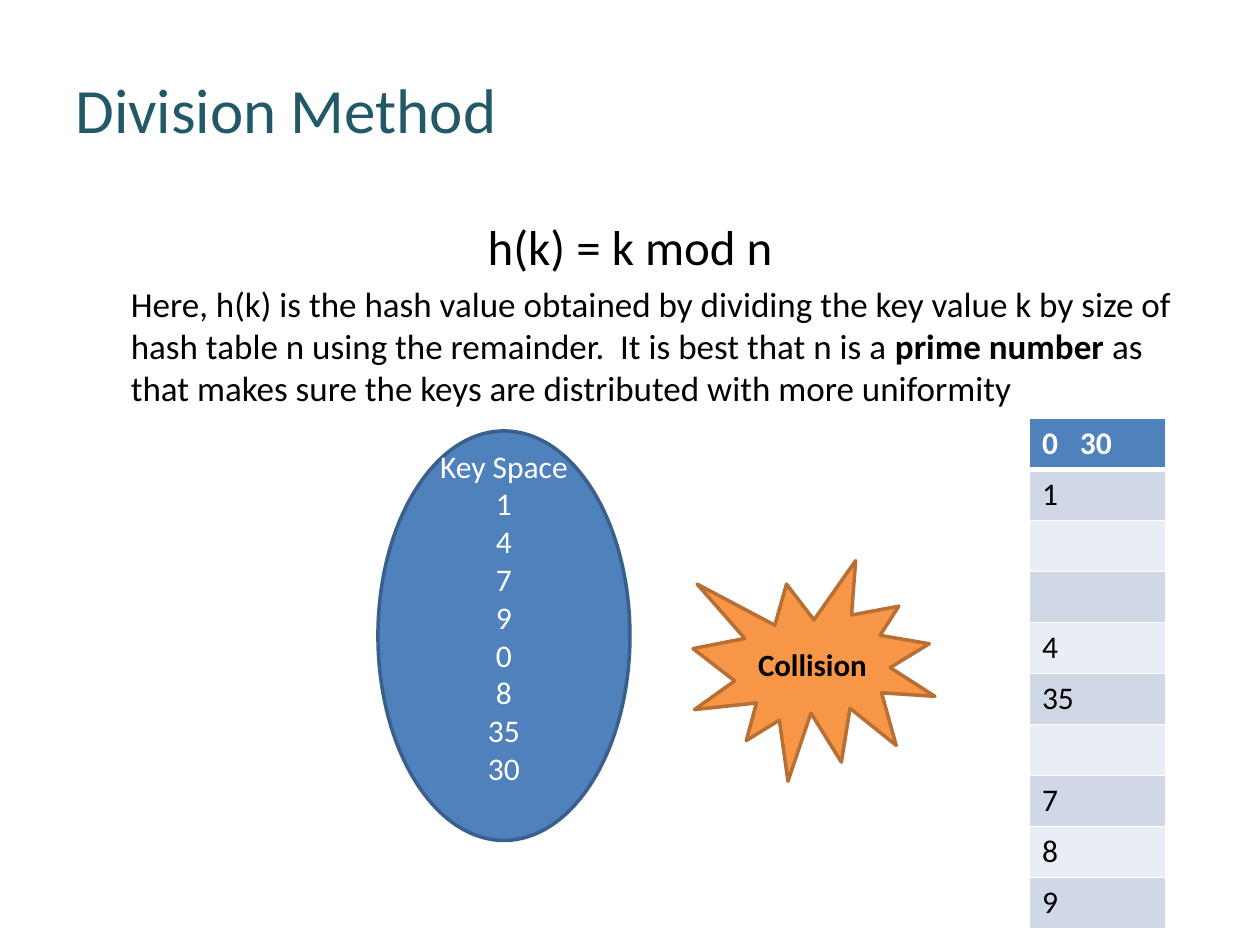
from dataclasses import dataclass

from lxml import etree
from pptx import Presentation
from pptx.dml.color import RGBColor
from pptx.enum import shapes, text
from pptx.oxml import ns
from pptx.util import Inches, Pt


@dataclass(frozen=True)
class Theme:
    font: str = "Calibri"
    title_size: float = 36
    formula_size: float = 28
    body_size: float = 20
    label_size: float = 18
    collision_size: float = 17.7
    teal: str = "215968"
    black: str = "000000"
    white: str = "FFFFFF"
    blue: str = "4F81BD"
    blue_line: str = "3A5F8C"
    orange: str = "F79646"
    orange_line: str = "B76F34"
    bands: tuple = ("E9EDF4", "D0D8E8")


theme = Theme()


def style(paragraph, size, color, bold=False, align=text.PP_ALIGN.LEFT):
    paragraph.alignment = align
    for font in [paragraph.font] + [run.font for run in paragraph.runs]:
        font.name, font.size, font.bold = theme.font, Pt(size), bold
        font.color.rgb = RGBColor.from_string(color)


def set_borders(cell, top, bottom):
    """Draw white cell borders; top and bottom are widths in points."""
    properties = cell._tc.get_or_add_tcPr()
    sides = (("lnL", 1), ("lnR", 1), ("lnT", top), ("lnB", bottom))
    for index, (side, width) in enumerate(sides):
        line = etree.Element(ns.qn(f"a:{side}"), w=str(Pt(width)))
        fill = etree.SubElement(line, ns.qn("a:solidFill"))
        etree.SubElement(fill, ns.qn("a:srgbClr"), val=theme.white)
        properties.insert(index, line)


presentation = Presentation()
presentation.slide_width, presentation.slide_height = Inches(10), Inches(7.5)
slide = presentation.slides.add_slide(presentation.slide_layouts[6])

# Title
title = slide.shapes.add_textbox(Inches(0.5), Inches(0.3), Inches(9), Inches(1.12))
title.text_frame.word_wrap = True
title.text_frame.vertical_anchor = text.MSO_ANCHOR.MIDDLE
title.text_frame.text = "Division Method"
style(title.text_frame.paragraphs[0], theme.title_size, theme.teal)

# Formula and explanation
body = slide.shapes.add_textbox(Inches(0.5), Inches(1.67), Inches(9), Inches(5.25))
body.text_frame.word_wrap = True
body.text_frame.text = "h(k) = k mod n"
style(body.text_frame.paragraphs[0], theme.formula_size, theme.black,
      align=text.PP_ALIGN.CENTER)
explanation = body.text_frame.add_paragraph()
explanation._p.get_or_add_pPr().set("marL", str(Inches(0.44)))
explanation.space_before = Pt(4)
for part in (
    "Here, h(k) is the hash value obtained by dividing the key value k by size of "
    "hash table n using the remainder.  It is best that n is a ",
    "prime number ",
    "as that makes sure the keys are distributed with more uniformity",
):
    explanation.add_run().text = part
style(explanation, theme.body_size, theme.black)
explanation.runs[1].font.bold = True

# Hash table
slots = ["0\t30", "1", "", "", "4", "35", "", "7", "8", "9"]
table = slide.shapes.add_table(len(slots), 1, Inches(8.17), Inches(3.32),
                               Inches(1.08), Inches(4.05)).table
for row, slot in enumerate(slots):
    header = row == 0
    cell = table.cell(row, 0)
    cell.text = slot
    paragraph = cell.text_frame.paragraphs[0]
    if "\t" in slot:
        tabs = etree.SubElement(paragraph._p.get_or_add_pPr(), ns.qn("a:tabLst"))
        etree.SubElement(tabs, ns.qn("a:tab"), pos=str(Inches(0.3)), algn="l")
    style(paragraph, theme.label_size, theme.white if header else theme.black, bold=header)
    cell.fill.solid()
    cell.fill.fore_color.rgb = RGBColor.from_string(
        theme.blue if header else theme.bands[row % 2])
    set_borders(cell, top=3 if row == 1 else 1, bottom=3 if header else 1)

# Key space and collision
keys = ["Key Space", "1", "4", "7", "9", "0", "8", "35", "30"]
figures = (
    (shapes.MSO_SHAPE.OVAL, (3, 3.42, 2, 3.25), theme.blue, theme.blue_line,
     keys, theme.label_size, theme.white, False, 0.35),
    (shapes.MSO_SHAPE.EXPLOSION1, (5.5, 4.45, 1.92, 1.75), theme.orange,
     theme.orange_line, ["Collision"], theme.collision_size, theme.black, True, 0.05),
)
for kind, box, fill, line, lines, size, color, bold, bottom_inset in figures:
    shape = slide.shapes.add_shape(kind, *map(Inches, box))
    shape.shadow.inherit = False
    shape.fill.solid()
    shape.fill.fore_color.rgb = RGBColor.from_string(fill)
    shape.line.color.rgb = RGBColor.from_string(line)
    shape.line.width = Pt(2)
    frame = shape.text_frame
    frame.word_wrap = True
    frame.vertical_anchor = text.MSO_ANCHOR.MIDDLE
    frame.margin_left = frame.margin_right = Inches(0)
    frame.margin_bottom = Inches(bottom_inset)
    frame.text = "\n".join(lines)
    for paragraph in frame.paragraphs:
        style(paragraph, size, color, bold, text.PP_ALIGN.CENTER)

presentation.save("out.pptx")
